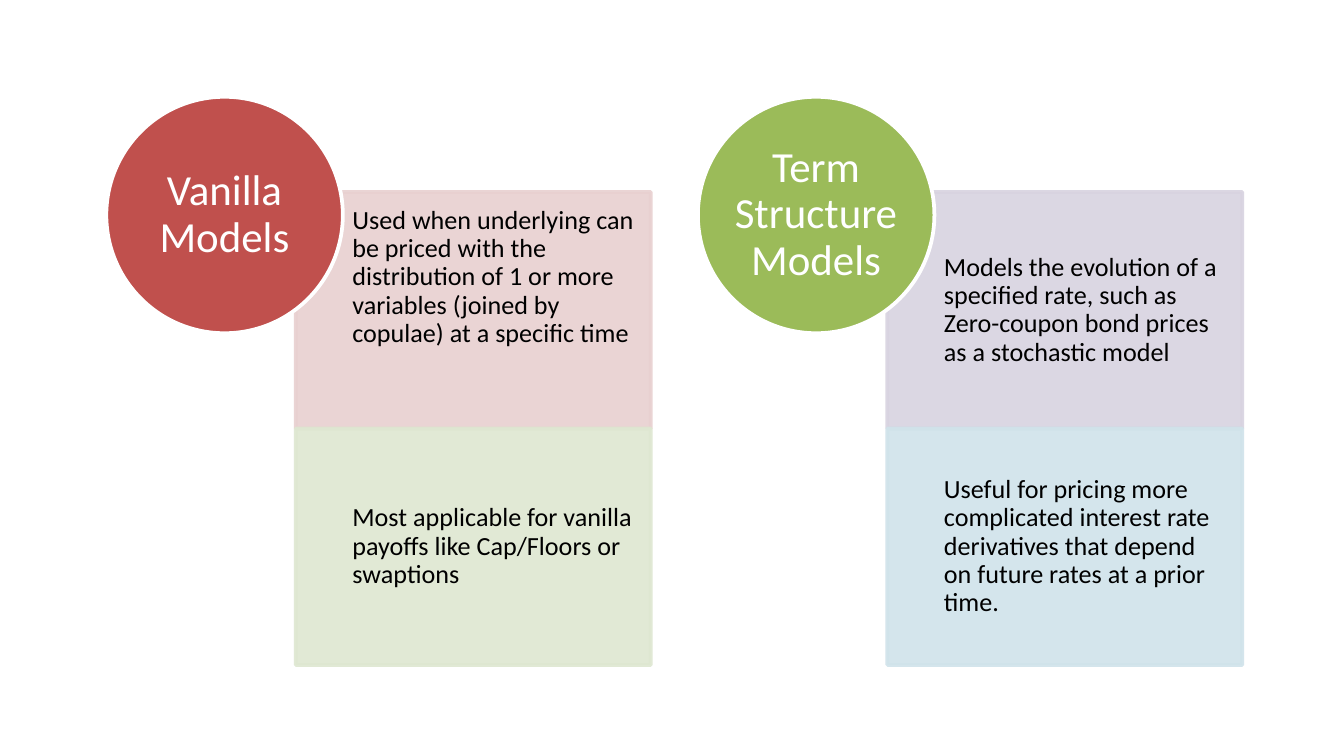
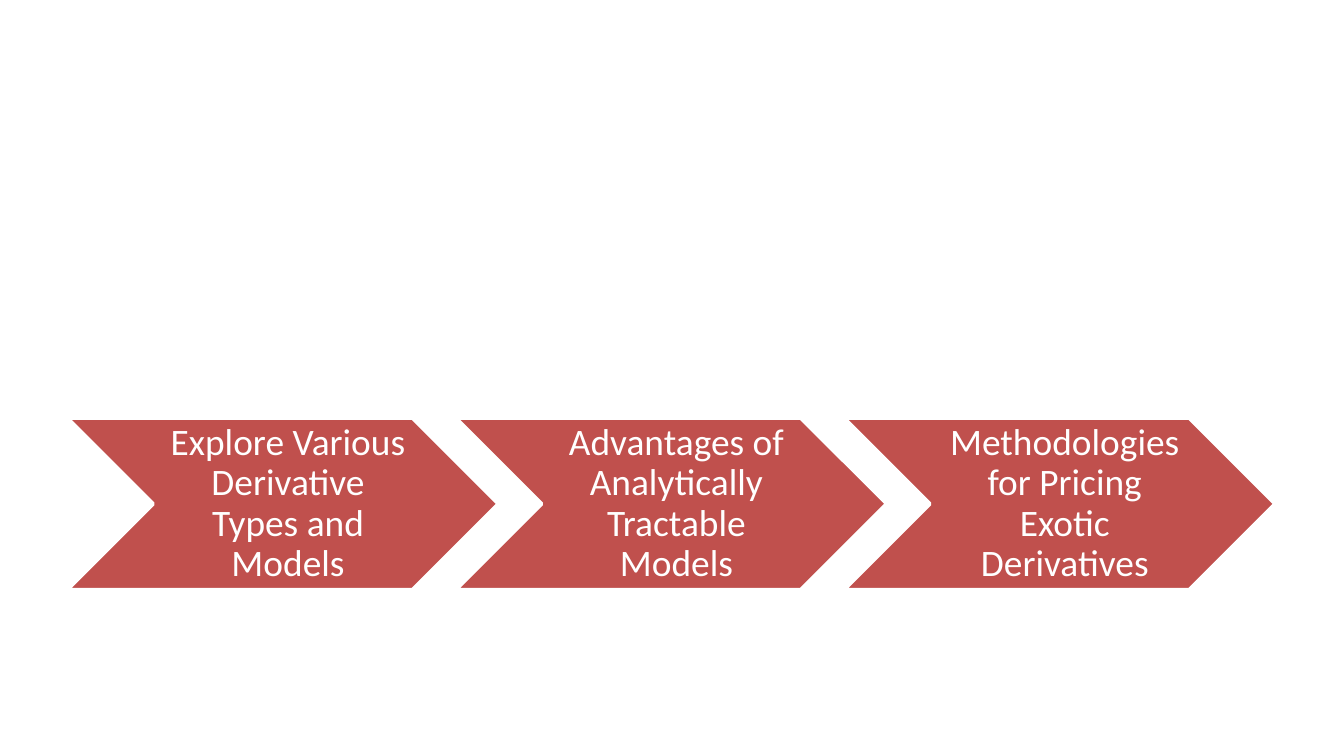
from pptx import Presentation
from pptx import util as u
from pptx.dml.color import RGBColor
from pptx.enum import shapes, text
from pptx.oxml.ns import qn
from lxml import etree

RED = RGBColor(0xC0, 0x50, 0x4D)
GREEN = RGBColor(0x9B, 0xBB, 0x59)
PINK = RGBColor(0xE8, 0xD0, 0xD0)
SAGE = RGBColor(0xDE, 0xE7, 0xD1)
LILAC = RGBColor(0xD8, 0xD3, 0xE0)
SKY = RGBColor(0xD0, 0xE3, 0xEA)
WHITE = RGBColor(0xFF, 0xFF, 0xFF)
BLACK = RGBColor(0x00, 0x00, 0x00)
TOP, MIDDLE = text.MSO_ANCHOR.TOP, text.MSO_ANCHOR.MIDDLE
LEFT, CENTER = text.PP_ALIGN.LEFT, text.PP_ALIGN.CENTER


def add_figure(slide, kind, box, fill, outline, opacity=100):
    figure = slide.shapes.add_shape(kind, *map(u.Cm, box))
    figure.shadow.inherit = False
    figure.fill.solid()
    figure.fill.fore_color.rgb = fill
    figure.line.color.rgb = outline
    figure.line.width = u.Pt(2)
    if opacity < 100:
        for color in figure._element.spPr.iter(qn("a:srgbClr")):
            etree.SubElement(color, qn("a:alpha"), val=str(opacity * 1000))


def add_words(slide, box, words, size, color, align, anchor, insets):
    frame = slide.shapes.add_textbox(*map(u.Cm, box)).text_frame
    frame.word_wrap = True
    frame.vertical_anchor = anchor
    (frame.margin_left, frame.margin_top,
     frame.margin_right, frame.margin_bottom) = map(u.Cm, insets)
    paragraph = frame.paragraphs[0]
    paragraph.alignment = align
    paragraph.line_spacing = 0.9
    paragraph.space_after = u.Pt(round(size * 0.35))
    run = paragraph.add_run()
    run.text = words
    run.font.name = "Calibri"
    run.font.size = u.Pt(size)
    run.font.color.rgb = color


deck = Presentation()
deck.slide_width, deck.slide_height = u.Cm(25.4), u.Cm(14.29)
blank = deck.slide_layouts[6]

model_types = [
    ("Vanilla Models", RED, [
        ("Used when underlying can be priced with the distribution of 1 or more "
         "variables (joined by copulae) at a specific time", PINK, TOP),
        ("Most applicable for vanilla payoffs like Cap/Floors or swaptions",
         SAGE, MIDDLE)]),
    ("Term Structure Models", GREEN, [
        ("Models the evolution of a specified rate, such as Zero-coupon bond "
         "prices as a stochastic model", LILAC, MIDDLE),
        ("Useful for pricing more complicated interest rate derivatives that "
         "depend on future rates at a prior time.", SKY, MIDDLE)]),
]
side, panel_width, indent, inset = 4.47, 6.71, 1.07, 0.66
models = deck.slides.add_slide(blank)
for column, (heading, heading_fill, facts) in enumerate(model_types):
    left = 2.01 + column * 11.18
    panel_left = left + 3.58
    for row, (fact, fact_fill, anchor) in enumerate(facts):
        top = 3.63 + row * side
        add_figure(models, shapes.MSO_SHAPE.RECTANGLE,
                   (panel_left, top, panel_width, side), fact_fill, fact_fill, 90)
        add_words(models, (panel_left + indent, top, panel_width - indent, side),
                  fact, 14, BLACK, LEFT, anchor, (0, 0.28, 0.28, 0.28))
    add_figure(models, shapes.MSO_SHAPE.OVAL, (left, 1.83, side, side),
               heading_fill, WHITE)
    add_words(models, (left + inset, 1.83 + inset, side - 2 * inset, side - 2 * inset),
              heading, 23, WHITE, CENTER, MIDDLE, (0, 0, 0, 0))

steps = ["Explore Various Derivative Types and Models",
         "Advantages of Analytically Tractable Models",
         "Methodologies for Pricing Exotic Derivatives"]
agenda = deck.slides.add_slide(blank)
for index, step in enumerate(steps):
    left = 1.27 + index * 7.34
    add_figure(agenda, shapes.MSO_SHAPE.CHEVRON, (left, 7.9, 8.15, 3.25), RED, WHITE)
    add_words(agenda, (left + 1.65, 7.9, 4.9, 3.25), step, 20, WHITE, CENTER, MIDDLE,
              (0.23, 0.08, 0.08, 0.08))

deck.save("out.pptx")
